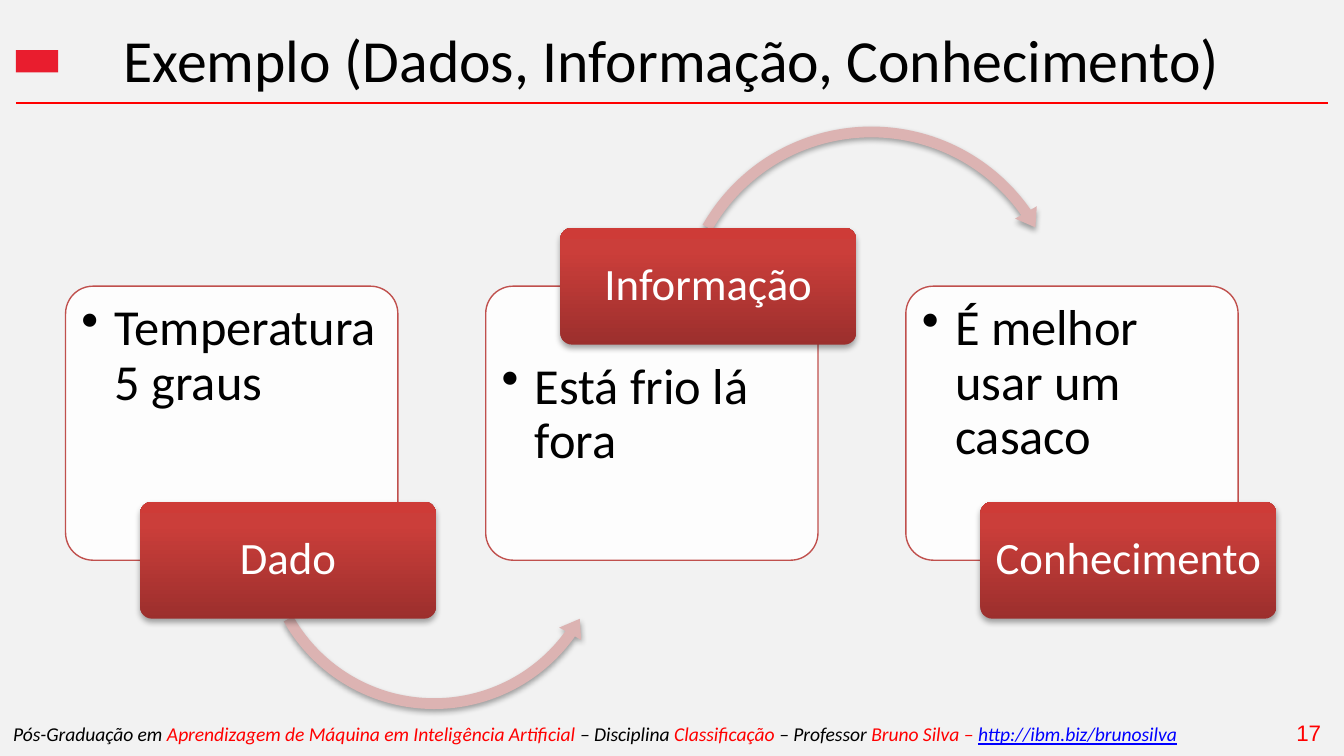
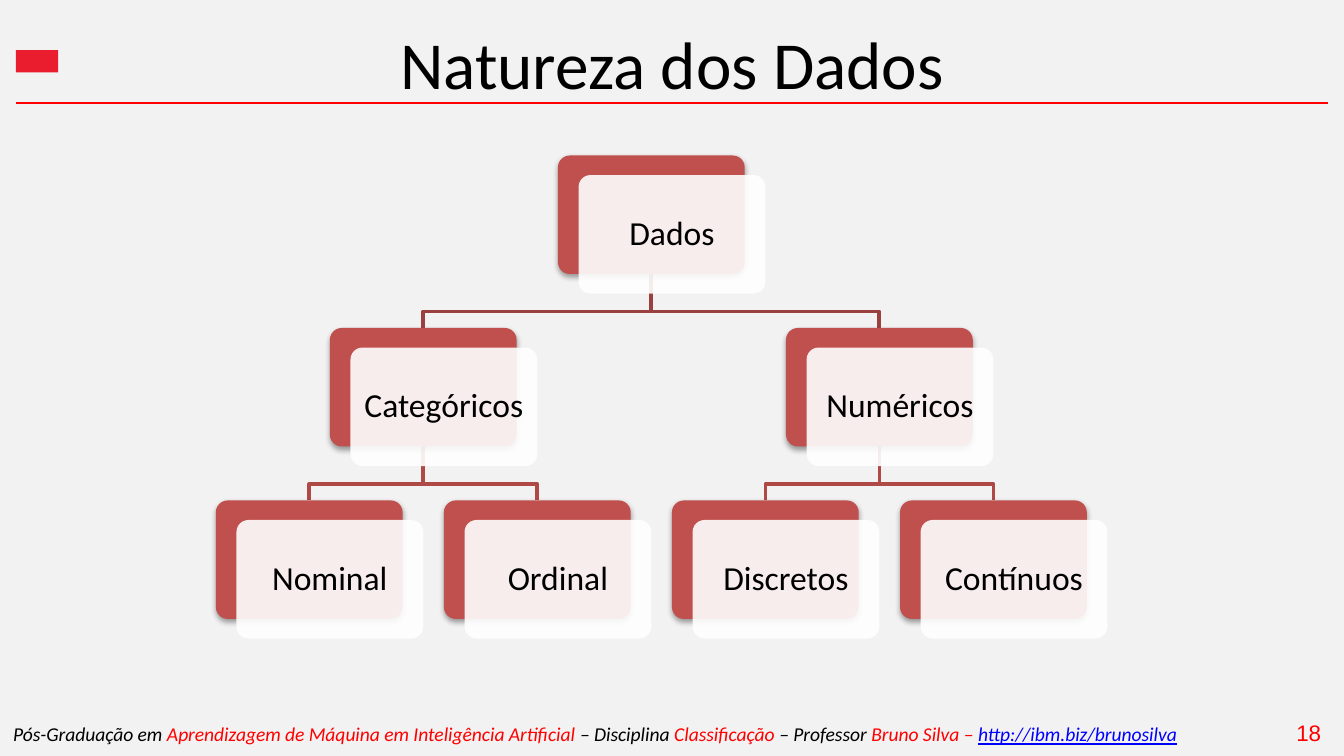
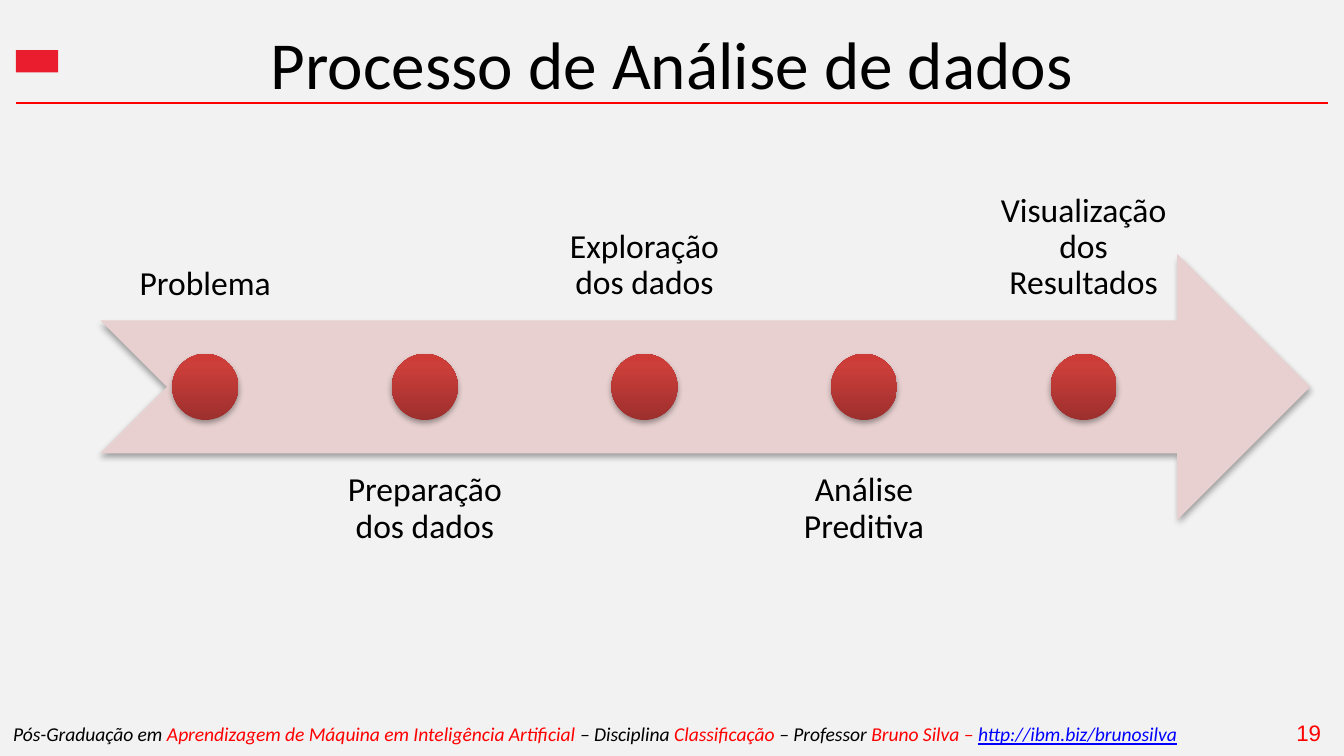
"""Builds three slides on data, information and knowledge."""
from copy import deepcopy

from lxml.etree import SubElement
from pptx import Presentation
from pptx.dml.color import RGBColor
from pptx.enum.shapes import MSO_CONNECTOR, MSO_SHAPE
from pptx.enum.text import MSO_ANCHOR, MSO_AUTO_SIZE, PP_ALIGN
from pptx.oxml.ns import qn
from pptx.util import Cm, Pt

BLACK = RGBColor(0x00, 0x00, 0x00)
WHITE = RGBColor(0xFF, 0xFF, 0xFF)
PAPER = RGBColor(0xF2, 0xF2, 0xF2)
RED = RGBColor(0xFF, 0x00, 0x00)
BLUE = RGBColor(0x00, 0x00, 0xFF)
MARK_RED = RGBColor(0xE9, 0x1D, 0x2E)
BRICK = RGBColor(0xC0, 0x50, 0x4D)
ROOT_BRANCH = RGBColor(0x9A, 0x40, 0x3E)
LEAF_BRANCH = RGBColor(0xAE, 0x49, 0x46)
ARC_PINK = RGBColor(0xDC, 0xB3, 0xB2)
ARROW_PINK = RGBColor(0xE8, 0xD0, 0xD0)
GLOSS = (
    (0, RGBColor(0x9C, 0x2F, 0x2D)),
    (0.8, RGBColor(0xCB, 0x3E, 0x3A)),
    (1, RGBColor(0xCE, 0x3B, 0x37)),
)
FOOTER = (
    ("Pós-Graduação em ", BLACK, False),
    ("Aprendizagem de Máquina em Inteligência Artificial", RED, False),
    (" – Disciplina ", BLACK, False),
    ("Classificação ", RED, False),
    ("– Professor ", BLACK, False),
    ("Bruno Silva – ", RED, False),
    ("http://ibm.biz/brunosilva", BLUE, True),
)


def add_span(para, text, size=18, color=BLACK, font="Calibri", italic=None, underline=None):
    """Add formatted text to a paragraph."""
    span = para.add_run()
    span.text = text
    span.font.name = font
    span.font.size = Pt(size)
    span.font.color.rgb = color
    span.font.italic = italic
    span.font.underline = underline


class SlideBuilder:
    """Holds the shared style and the current slide."""

    def __init__(self):
        """Create an empty widescreen deck."""
        self.deck = Presentation()
        self.deck.slide_width = Cm(25.4)
        self.deck.slide_height = Cm(14.29)
        background = self.deck.slide_master.background.fill
        background.solid()
        background.fore_color.rgb = PAPER
        self.page = None

    def new_page(self, title, number, size=36):
        """Start a slide with its title, red rule and footer."""
        self.page = self.deck.slides.add_slide(self.deck.slide_layouts[5])
        self.rule(0.3, 1.95, 25.1)
        self.shape(MSO_SHAPE.RECTANGLE, 0.3, 0.95, 0.8, 0.42, MARK_RED)
        number_box = self.text_box(24.25, 13.46, 1.05, 0.76)
        add_span(number_box.text_frame.paragraphs[0], str(number), 12, RED, "Arial")
        footer = self.text_box(0, 13.46, 25.4, 0.83, MSO_ANCHOR.MIDDLE)
        for text, color, underline in FOOTER:
            add_span(footer.text_frame.paragraphs[0], text, 10.5, color,
                     italic=True, underline=underline or None)
        box = self.page.shapes.title
        box.left, box.top, box.width, box.height = Cm(1.3), Cm(0.3), Cm(22.8), Cm(1.48)
        frame = box.text_frame
        frame.auto_size = MSO_AUTO_SIZE.NONE
        frame.vertical_anchor = MSO_ANCHOR.TOP
        frame.paragraphs[0].alignment = PP_ALIGN.CENTER
        add_span(frame.paragraphs[0], title, size)

    def rule(self, left, top, right):
        """Draw the thin red line below the title."""
        line = self.page.shapes.add_connector(
            MSO_CONNECTOR.STRAIGHT, Cm(left), Cm(top), Cm(right), Cm(top))
        line.line.color.rgb = RED
        line.line.width = Pt(0.75)
        SubElement(line._element.spPr, qn("a:effectLst"))

    def text_box(self, left, top, width, height, anchor=MSO_ANCHOR.TOP):
        """Add an empty wrapping text box."""
        box = self.page.shapes.add_textbox(Cm(left), Cm(top), Cm(width), Cm(height))
        box.text_frame.word_wrap = True
        box.text_frame.vertical_anchor = anchor
        return box

    def shape(self, kind, left, top, width, height, fill=None, outline=None,
              opacity=None, shadow=None, adjustments=()):
        """Add a preset shape; without a fill colour it gets the glossy red."""
        shape = self.page.shapes.add_shape(kind, Cm(left), Cm(top), Cm(width), Cm(height))
        shape.shadow.inherit = False
        for index, value in enumerate(adjustments):
            shape.adjustments[index] = value
        if fill is None:
            self.gloss(shape)
        else:
            shape.fill.solid()
            shape.fill.fore_color.rgb = fill
        if opacity:
            color = shape._element.spPr.find(f"{qn('a:solidFill')}/{qn('a:srgbClr')}")
            SubElement(color, qn("a:alpha"), val=str(opacity * 1000))
        if outline is None:
            shape.line.fill.background()
        else:
            shape.line.color.rgb = outline
            shape.line.width = Pt(0.75)
        if shadow:
            self.cast_shadow(shape, shadow)
        return shape

    def rounded(self, *place, **style):
        """Add a rectangle with small round corners."""
        return self.shape(MSO_SHAPE.ROUNDED_RECTANGLE, *place, adjustments=(0.1,), **style)

    def gloss(self, shape):
        """Fill a shape with the vertical red gradient."""
        shape.fill.gradient()
        shape.fill.gradient_angle = 90
        stop_list = shape._element.spPr.find(f"{qn('a:gradFill')}/{qn('a:gsLst')}")
        stop_list.append(deepcopy(stop_list[-1]))
        for stop, (position, color) in zip(shape.fill.gradient_stops, GLOSS):
            stop.position = position
            stop.color.rgb = color

    def cast_shadow(self, shape, opacity):
        """Give a shape a soft shadow straight below it."""
        effects = shape._element.spPr.find(qn("a:effectLst"))
        shadow = SubElement(effects, qn("a:outerShdw"), blurRad=str(Cm(0.11)),
                            dist=str(Cm(0.06)), dir="5400000", rotWithShape="0")
        color = SubElement(shadow, qn("a:srgbClr"), val=str(BLACK))
        SubElement(color, qn("a:alpha"), val=str(opacity * 1000))

    def put_text(self, box, text, insets, anchor=MSO_ANCHOR.MIDDLE, bullet=False, **style):
        """Put one paragraph in a shape, centred or with a bullet."""
        frame = box.text_frame
        frame.word_wrap = True
        frame.vertical_anchor = anchor
        frame.margin_left = frame.margin_right = Cm(insets[0])
        frame.margin_top, frame.margin_bottom = Cm(insets[1]), Cm(insets[2])
        para = frame.paragraphs[0]
        para.alignment = PP_ALIGN.LEFT if bullet else PP_ALIGN.CENTER
        if bullet:
            properties = para._p.get_or_add_pPr()
            properties.set("marL", str(Cm(0.63)))
            properties.set("indent", str(-Cm(0.63)))
            SubElement(properties, qn("a:buChar"), char="•")
        para.line_spacing = 0.9
        add_span(para, text, **style)

    def branch(self, points, color):
        """Draw an open line through the given points."""
        start, *rest = [(Cm(x), Cm(y)) for x, y in points]
        builder = self.page.shapes.build_freeform(*start)
        builder.add_line_segments(rest, close=False)
        line = builder.convert_to_shape()
        line.shadow.inherit = False
        line.fill.background()
        line.line.color.rgb = color
        line.line.width = Pt(2)


def build_example(slides):
    """Build the slide that leads from data to knowledge."""
    slides.new_page("Exemplo (Dados, Informação, Conhecimento)", 17, size=32)
    left, top, width, height, pitch = 1.24, 5.41, 6.28, 5.18, 7.94
    label_height = 2.21
    lower_arc = (MSO_SHAPE.LEFT_CIRCULAR_ARROW, 4.8, 6.73, 6.81,
                 (0.03, 3.637, 21.392, 90.245, 0.035))
    upper_arc = (MSO_SHAPE.CIRCULAR_ARROW, 12.67, 2.26, 7.6,
                 (0.027, 3.23, 195.015, 125.755, 0.031))
    steps = (
        ("Dado", "Temperatura 5 graus", False, lower_arc),
        ("Informação", "Está frio lá fora", True, upper_arc),
        ("Conhecimento", "É melhor usar um casaco", False, None),
    )
    for index, (name, example, label_above, arc) in enumerate(steps):
        x = left + index * pitch
        card = slides.rounded(x, top, width, height, fill=WHITE, outline=BRICK, opacity=90)
        text_top = label_height / 2 + 0.15 if label_above else 0.15
        slides.put_text(card, example, (0.15, text_top, 0.15), MSO_ANCHOR.TOP,
                        bullet=True, size=27)
        if arc:
            kind, arc_left, arc_top, size, adjustments = arc
            slides.shape(kind, arc_left, arc_top, size, size, ARC_PINK,
                         shadow=35, adjustments=adjustments)
        edge = top if label_above else top + height
        label = slides.rounded(x + 1.41, edge - label_height / 2, 5.59, label_height, shadow=35)
        slides.put_text(label, name, (0.13, 0.08, 0.08), size=24, color=WHITE)


def build_tree(slides):
    """Build the slide with the tree of kinds of data."""
    slides.new_page("Natureza dos Dados", 18)
    left, top, width, height = 4.08, 2.94, 3.53, 2.24
    column, level_pitch, drop = 4.31, 3.26, 0.71
    nodes = {
        "Dados": (1.5, 0, None),
        "Categóricos": (0.5, 1, "Dados"),
        "Numéricos": (2.5, 1, "Dados"),
        "Nominal": (0, 2, "Categóricos"),
        "Ordinal": (1, 2, "Categóricos"),
        "Discretos": (2, 2, "Numéricos"),
        "Contínuos": (3, 2, "Numéricos"),
    }
    places = {name: (left + place * column, top + level * level_pitch)
              for name, (place, level, _) in nodes.items()}
    for name, (_, level, parent) in nodes.items():
        if parent:
            child_x, child_y = places[name]
            parent_x, parent_y = places[parent]
            start, end = parent_x + width / 2, child_x + width / 2
            bottom = parent_y + height
            slides.branch(((start, bottom), (start, bottom + drop),
                           (end, bottom + drop), (end, child_y)),
                          ROOT_BRANCH if level == 1 else LEAF_BRANCH)
    for name, (x, y) in places.items():
        slides.rounded(x, y, width, height, fill=BRICK, shadow=38)
        front = slides.rounded(x + 0.39, y + 0.37, width, height, fill=WHITE, opacity=90)
        slides.put_text(front, name, (0.18, 0.18, 0.18))


def build_process(slides):
    """Build the slide with the steps of data analysis."""
    slides.new_page("Processo de Análise de dados", 19)
    left, top, height = 1.9, 4.8, 5.03
    label_width, pitch, dot = 3.96, 4.15, 1.25
    slides.shape(MSO_SHAPE.NOTCHED_RIGHT_ARROW, left, top, 22.86, height, ARROW_PINK, shadow=35)
    steps = ("Problema", "Preparação dos dados", "Exploração dos dados",
             "Análise Preditiva", "Visualização dos Resultados")
    for index, step in enumerate(steps):
        x = left + index * pitch
        label_top, anchor = (8.58, MSO_ANCHOR.TOP) if index % 2 else (1.04, MSO_ANCHOR.BOTTOM)
        label = slides.text_box(x, label_top, label_width, height)
        slides.put_text(label, step, (0.36, 0.36, 0.36), anchor)
        slides.shape(MSO_SHAPE.OVAL, x + (label_width - dot) / 2,
                     top + (height - dot) / 2, dot, dot, shadow=35)


def main():
    """Build and save the deck."""
    slides = SlideBuilder()
    build_example(slides)
    build_tree(slides)
    build_process(slides)
    slides.deck.save("out.pptx")


if __name__ == "__main__":
    main()
